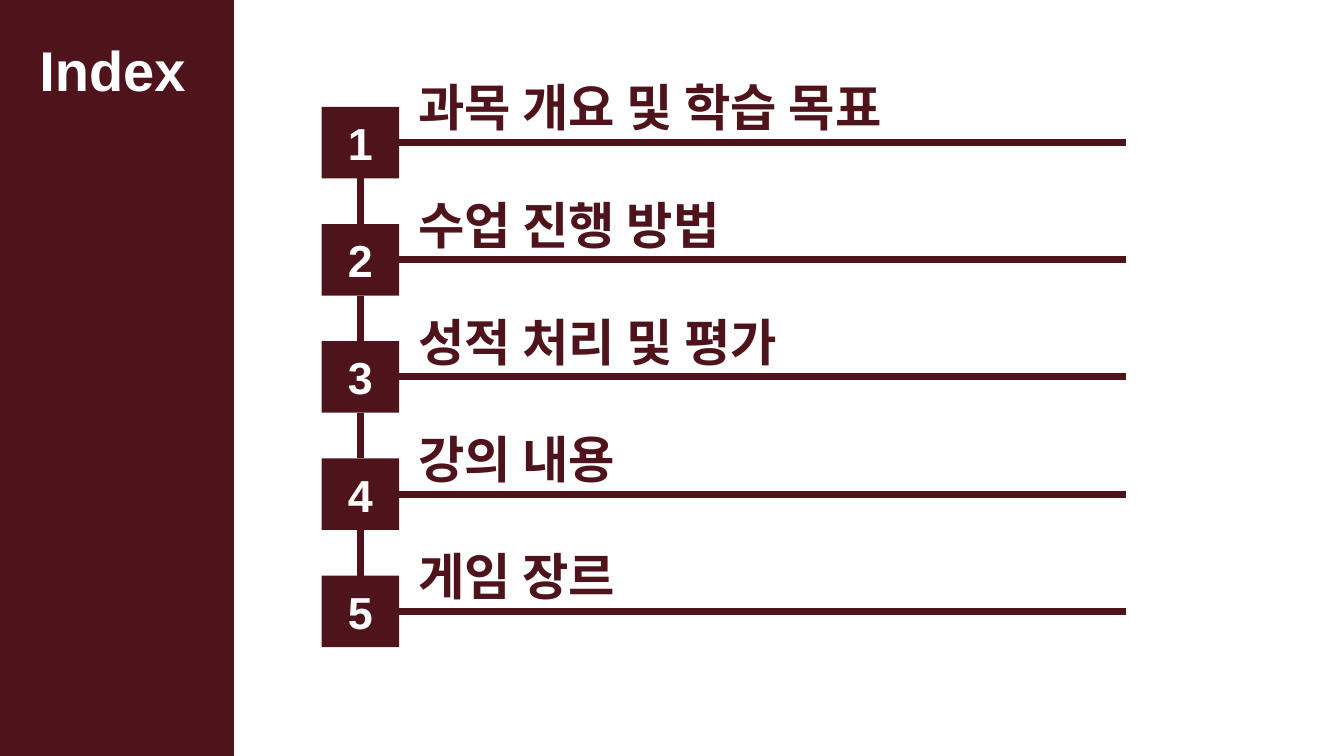
from dataclasses import dataclass

import lxml.etree
import pptx
import pptx.dml.color
import pptx.enum.shapes
import pptx.enum.text
import pptx.oxml.ns
import pptx.util

COLORS = {"maroon": "4F141B", "white": "FFFFFF"}
FONT = "Arial"
TITLE_ONLY_LAYOUT = 5

# Grid of the index, in inches
SLIDE_WIDTH, SLIDE_HEIGHT = 13.33, 7.5
BAND_WIDTH = 2.32
FIRST_ROW, LAST_ROW = 1.06, 5.71
NUMBER_LEFT, NUMBER_WIDTH, ROW_HEIGHT = 3.19, 0.77, 0.71
LABEL_LEFT, LABEL_RISE = 4.05, 0.35
RULE_END = 11.17
LINE_WIDTH = 5


@dataclass(frozen=True)
class Entry:
    label: str
    width: float


ENTRIES = [
    Entry("과목 개요 및 학습 목표", 6.87),
    Entry("수업 진행 방법", 3.86),
    Entry("성적 처리 및 평가", 4.79),
    Entry("강의 내용", 5.19),
    Entry("게임 장르", 7.56),
]
ROW_PITCH = (LAST_ROW - FIRST_ROW) / (len(ENTRIES) - 1)


def inches(*lengths: float) -> list[pptx.util.Length]:
    return [pptx.util.Inches(length) for length in lengths]


def color(name: str) -> pptx.dml.color.RGBColor:
    return pptx.dml.color.RGBColor.from_string(COLORS[name])


def write(shape, text: str, size: int, color_name: str, align: str = "LEFT",
          anchor: str = "TOP") -> None:
    frame = shape.text_frame
    frame.text = text
    frame.word_wrap = True
    frame.vertical_anchor = pptx.enum.text.MSO_ANCHOR[anchor]
    para = frame.paragraphs[0]
    para.alignment = pptx.enum.text.PP_ALIGN[align]
    para.font.name = FONT
    para.font.size = pptx.util.Pt(size)
    para.font.bold = True
    para.font.color.rgb = color(color_name)


def add_block(page, left: float, top: float, width: float, height: float):
    block = page.shapes.add_shape(pptx.enum.shapes.MSO_SHAPE.RECTANGLE,
                                  *inches(left, top, width, height))
    block.shadow.inherit = False
    block.fill.solid()
    block.fill.fore_color.rgb = color("maroon")
    block.line.fill.background()
    return block


def add_line(page, x1: float, y1: float, x2: float, y2: float):
    line = page.shapes.add_connector(pptx.enum.shapes.MSO_CONNECTOR.STRAIGHT,
                                     *inches(x1, y1, x2, y2))
    line.line.color.rgb = color("maroon")
    line.line.width = pptx.util.Pt(LINE_WIDTH)
    lxml.etree.SubElement(line.element.spPr, pptx.oxml.ns.qn("a:effectLst"))
    return line


def add_title(page) -> None:
    title = page.shapes.title
    title.left, title.top, title.width, title.height = inches(0.29, 0.3, 1.84, 0.77)
    write(title, "Index", 40, "white")
    title.text_frame.auto_size = pptx.enum.text.MSO_AUTO_SIZE.SHAPE_TO_FIT_TEXT
    # The side band lies behind the title
    band = add_block(page, 0, 0, BAND_WIDTH, SLIDE_HEIGHT)
    title.element.addprevious(band.element)


def add_entry(page, number: int, entry: Entry):
    top = FIRST_ROW + (number - 1) * ROW_PITCH
    middle = top + ROW_HEIGHT / 2

    # Label above its rule
    label = page.shapes.add_textbox(
        *inches(LABEL_LEFT, top - LABEL_RISE, entry.width, ROW_HEIGHT))
    write(label, entry.label, 36, "maroon")
    label.text_frame.auto_size = pptx.enum.text.MSO_AUTO_SIZE.SHAPE_TO_FIT_TEXT

    # Numbered square and the rule leaving its right side
    square = add_block(page, NUMBER_LEFT, top, NUMBER_WIDTH, ROW_HEIGHT)
    write(square, str(number), 32, "white", "CENTER", "MIDDLE")
    rule = add_line(page, NUMBER_LEFT + NUMBER_WIDTH, middle, RULE_END, middle)
    rule.begin_connect(square, 3)
    return square


def main() -> None:
    deck = pptx.Presentation()
    deck.slide_width, deck.slide_height = inches(SLIDE_WIDTH, SLIDE_HEIGHT)
    page = deck.slides.add_slide(deck.slide_layouts[TITLE_ONLY_LAYOUT])
    add_title(page)

    squares = [add_entry(page, number, entry)
               for number, entry in enumerate(ENTRIES, start=1)]

    # Links between neighbouring squares
    for upper, lower in zip(squares, squares[1:]):
        link = add_line(page, 0, 0, 0, 0)
        link.begin_connect(upper, 2)
        link.end_connect(lower, 0)

    deck.save("out.pptx")


if __name__ == "__main__":
    main()
